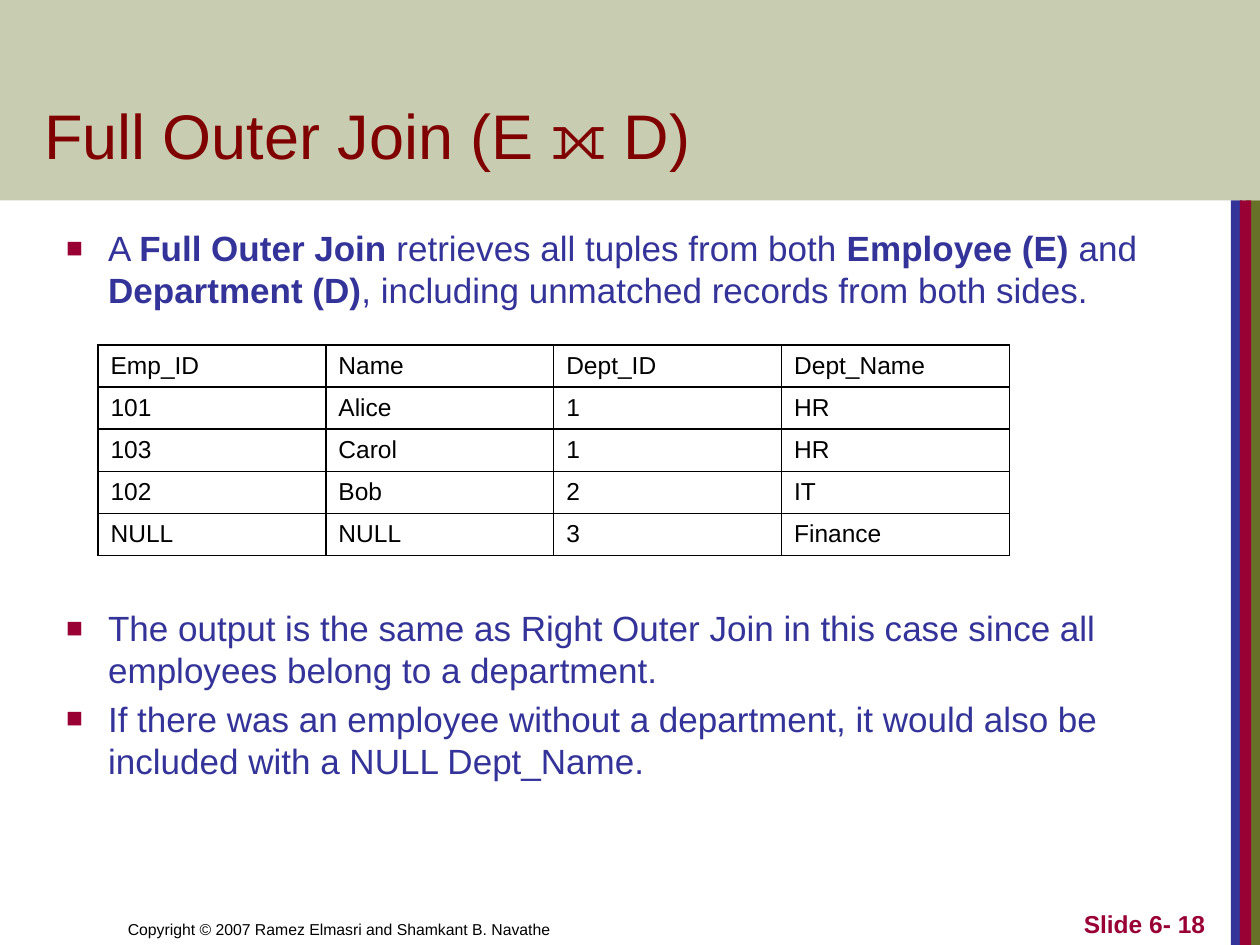
from dataclasses import dataclass

from lxml.etree import SubElement
from pptx import Presentation
from pptx.dml.color import RGBColor
from pptx.enum.shapes import MSO_SHAPE
from pptx.enum.text import MSO_ANCHOR, MSO_AUTO_SIZE, PP_ALIGN
from pptx.oxml.ns import qn
from pptx.util import Pt


@dataclass(frozen=True)
class Theme:
    """Colours, font and type sizes of the slide."""
    font: str = "Arial"
    olive: str = "677228"
    blue: str = "333399"
    crimson: str = "990033"
    maroon: str = "800000"
    black: str = "000000"
    title_size: float = 36
    body_size: float = 20
    small_size: float = 14
    footer_size: float = 9


THEME = Theme()

STRIPES = [
    (712.1, 7.9, THEME.olive),
    (703.4, 6.5, THEME.blue),
    (708.5, 6.5, THEME.crimson),
]
BULLETS = [
    (3.6, [("A ", False), ("Full Outer Join", True),
           (" retrieves all tuples from both ", False),
           ("Employee (E)", True), (" and ", False),
           ("Department (D)", True),
           (", including unmatched records from both sides.", False)]),
    (169.2, [("The output is the same as Right Outer Join in this case since "
              "all employees belong to a department.", False)]),
    (3.6, [("If there was an employee without a department, it would also be "
            "included with a NULL Dept_Name.", False)]),
]
ROWS = [
    ("Emp_ID", "Name", "Dept_ID", "Dept_Name"),
    ("101", "Alice", "1", "HR"),
    ("103", "Carol", "1", "HR"),
    ("102", "Bob", "2", "IT"),
    ("NULL", "NULL", "3", "Finance"),
]


def style_runs(para, size, color, bold=False):
    """Format every run of a paragraph alike."""
    for span in para.runs:
        span.font.name = THEME.font
        span.font.size = Pt(size)
        span.font.bold = bold
        span.font.color.rgb = RGBColor.from_string(color)


def add_bar(page, left, top, width, height, color, opacity=100):
    """Add a plain rectangle behind the title."""
    bar = page.shapes.add_shape(
        MSO_SHAPE.RECTANGLE, Pt(left), Pt(top), Pt(width), Pt(height))
    bar.shadow.inherit = False
    bar.line.fill.background()
    bar.fill.solid()
    bar.fill.fore_color.rgb = RGBColor.from_string(color)
    if opacity < 100:
        fill_color = bar.element.spPr.find(".//" + qn("a:srgbClr"))
        SubElement(fill_color, qn("a:alpha"), val=str(opacity * 1000))
    page.shapes.title.element.addprevious(bar.element)


def set_title(page, text):
    """Place and format the title placeholder."""
    title = page.shapes.title
    title.left, title.top, title.width, title.height = (
        Pt(18), Pt(24), Pt(614), Pt(78.24))
    frame = title.text_frame
    frame.text = text
    frame.word_wrap = True
    frame.auto_size = MSO_AUTO_SIZE.NONE
    frame.vertical_anchor = MSO_ANCHOR.BOTTOM
    para = frame.paragraphs[0]
    para.alignment = PP_ALIGN.LEFT
    style_runs(para, THEME.title_size, THEME.maroon)


def add_box(page, left, top, width, height):
    """Add a wrapping text box and return its text frame."""
    box = page.shapes.add_textbox(Pt(left), Pt(top), Pt(width), Pt(height))
    box.text_frame.word_wrap = True
    return box.text_frame


def add_footer(page, left, width, text, size, color, align, bold=False):
    """Add one line of text at the foot of the slide."""
    frame = add_box(page, left, 504, width, 36)
    frame.vertical_anchor = MSO_ANCHOR.BOTTOM
    frame.text = text
    para = frame.paragraphs[0]
    para.alignment = align
    style_runs(para, size, color, bold)


def set_bullet(para):
    """Give a paragraph a hanging square bullet."""
    props = para._p.get_or_add_pPr()
    props.set("marL", str(Pt(36)))
    props.set("indent", str(Pt(-24)))
    bullet_color = SubElement(props, qn("a:buClr"))
    SubElement(bullet_color, qn("a:srgbClr"), val=THEME.crimson)
    SubElement(props, qn("a:buSzPct"), val="80000")
    SubElement(props, qn("a:buFont"), typeface=THEME.font)
    SubElement(props, qn("a:buChar"), char="■")


def add_bullets(page, bullets):
    """Add the bulleted text, leaving room for the table."""
    frame = add_box(page, 18.7, 126, 653, 360)
    frame.margin_right = 0
    for index, (space, spans) in enumerate(bullets):
        para = frame.add_paragraph() if index else frame.paragraphs[0]
        para.space_before = Pt(space)
        para.line_spacing = Pt(24)
        set_bullet(para)
        for text, _ in spans:
            para.add_run().text = text
        style_runs(para, THEME.body_size, THEME.blue)
        for span, (_, bold) in zip(para.runs, spans):
            span.font.bold = bold


def set_borders(cell):
    """Draw a thin black line on each side of a cell."""
    props = cell._tc.get_or_add_tcPr()
    for side in ("lnL", "lnR", "lnT", "lnB"):
        line = SubElement(props, qn("a:" + side), w=str(Pt(1)))
        fill = SubElement(line, qn("a:solidFill"))
        SubElement(fill, qn("a:srgbClr"), val=THEME.black)


def add_grid(page, rows):
    """Add the table of joined records."""
    table = page.shapes.add_table(
        len(rows), len(rows[0]), Pt(56), Pt(197.2),
        Pt(520.8), Pt(24 * len(rows))).table
    table.first_row = table.horz_banding = False
    for row_index, row in enumerate(rows):
        for column_index, text in enumerate(row):
            cell = table.cell(row_index, column_index)
            cell.text_frame.text = text
            cell.vertical_anchor = MSO_ANCHOR.MIDDLE
            set_borders(cell)
            cell.fill.background()
            style_runs(cell.text_frame.paragraphs[0],
                       THEME.small_size, THEME.black)


def main():
    """Build the slide and save it."""
    deck = Presentation()
    deck.slide_width, deck.slide_height = Pt(720), Pt(540)
    page = deck.slides.add_slide(deck.slide_layouts[5])
    for left, width, color in STRIPES:
        add_bar(page, left, 114.5, width, 425.5, color)
    add_bar(page, 0, 0, 720, 114.5, THEME.olive, opacity=36)
    set_title(page, "Full Outer Join (E ⟗ D)")
    add_bullets(page, BULLETS)
    add_grid(page, ROWS)
    add_footer(page, 66, 354,
               "Copyright © 2007 Ramez Elmasri and Shamkant B. Navathe",
               THEME.footer_size, THEME.black, PP_ALIGN.LEFT)
    add_footer(page, 546, 149.8, "Slide 6- 18", THEME.small_size,
               THEME.crimson, PP_ALIGN.RIGHT, bold=True)
    deck.save("out.pptx")


if __name__ == "__main__":
    main()
